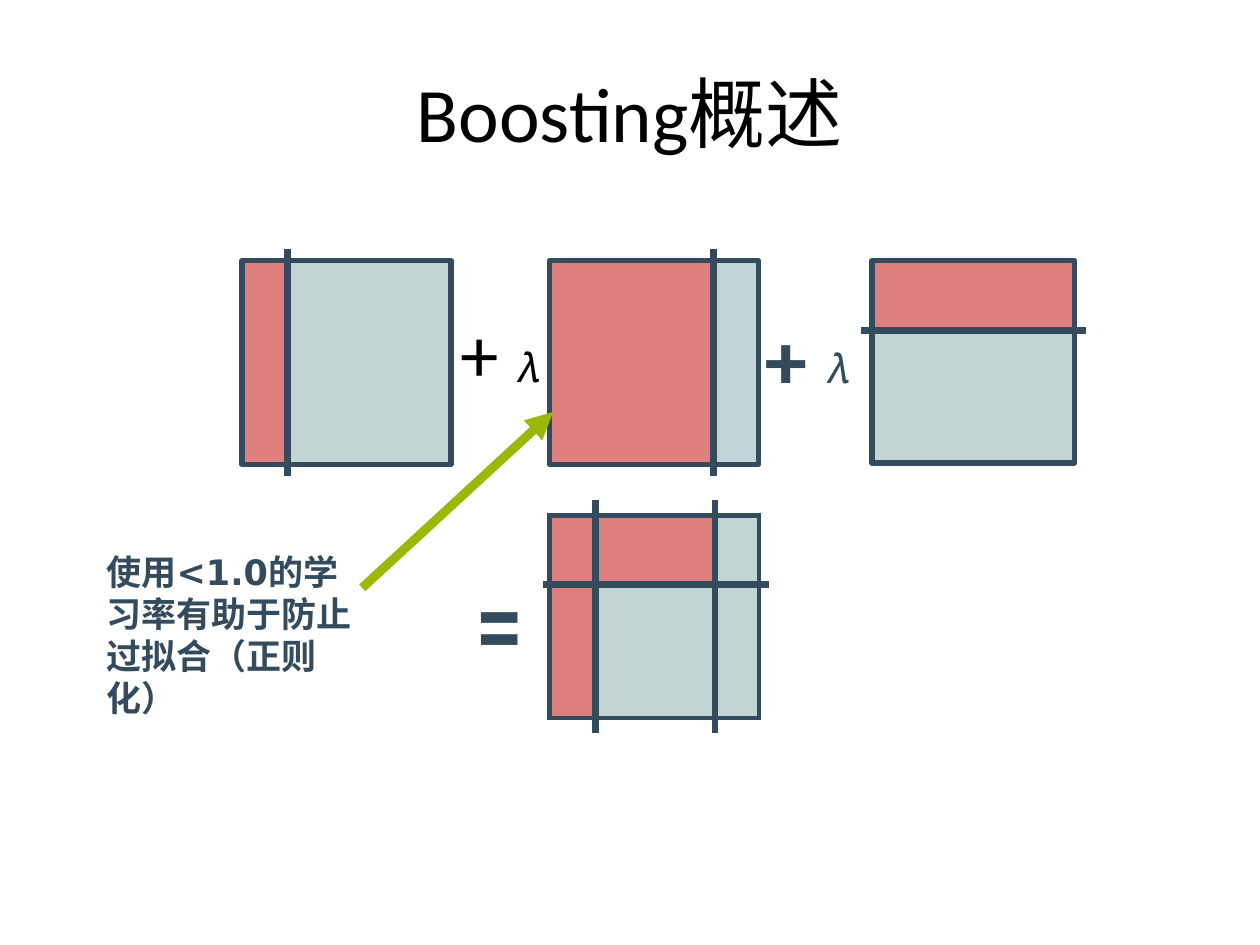
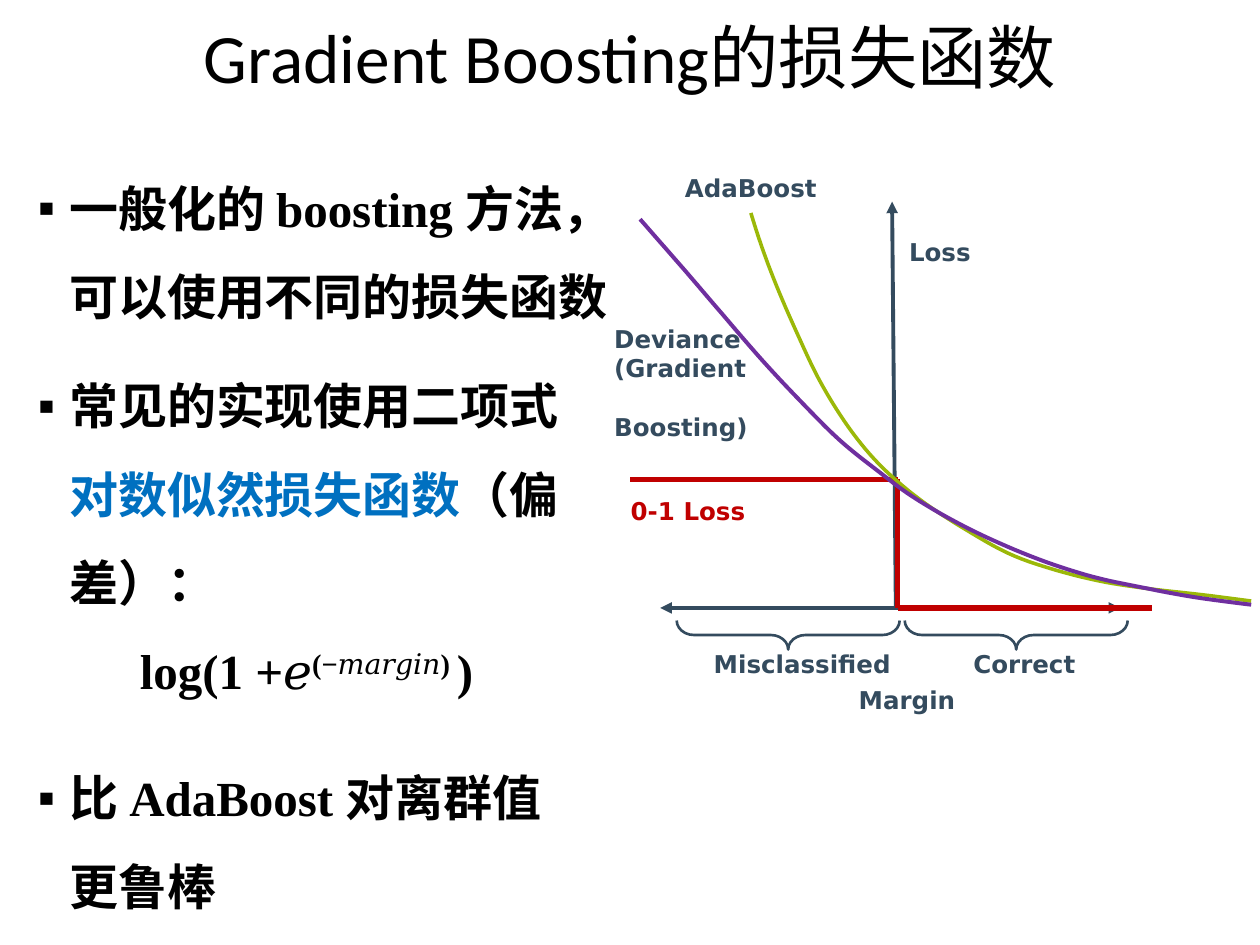
from lxml.etree import SubElement
from pptx import Presentation
from pptx.dml.color import RGBColor
from pptx.enum.shapes import MSO_CONNECTOR as Connector, MSO_SHAPE as Shape
from pptx.enum.text import MSO_ANCHOR as Anchor, PP_ALIGN as Align
from pptx.oxml.ns import qn
from pptx.util import Emu, Inches, Pt

COLOURS = {
    "ink": "000000", "slate": "344B5E", "red": "C00000", "sage": "84ADAC",
    "mist": "84ADAF", "lime": "9BB808", "purple": "6F2F9F", "blue": "0070C0",
}
COLUMNS, ROWS = 100, 75
WIDTH, HEIGHT = Inches(10), Inches(7.5)
BODY, LABEL, HEADING = "Times New Roman", "DejaVu Sans", "Calibri"


def rgb(name):
    return RGBColor.from_string(COLOURS[name])


def col(n):
    return Emu(round(WIDTH * n / COLUMNS))


def row(n):
    return Emu(round(HEIGHT * n / ROWS))


def tint(fill, owner, colour, opacity=100):
    """Solid fill; owner is the XML element that holds it."""
    fill.solid()
    fill.fore_color.rgb = rgb(colour)
    if opacity < 100:
        srgb = owner.find(qn("a:solidFill"))[0]
        SubElement(srgb, qn("a:alpha"), val=str(opacity * 1000))


def write(paragraph, text, size=14, font=LABEL, colour="slate", bold=True,
          align=Align.LEFT, indent=0.15, hang=0, right=0, leading=None, before=0,
          bullet=None):
    """Fill a paragraph with text: a string, or (string, changes) pairs."""
    props = paragraph._p.get_or_add_pPr()
    props.set("marL", str(col(indent)))
    props.set("marR", str(col(right)))
    props.set("indent", str(-col(hang)))
    if bullet:
        SubElement(props, qn("a:buFont"), typeface="Arial")
        SubElement(props, qn("a:buChar"), char=bullet)
    paragraph.alignment = align
    paragraph.space_before = Pt(before)
    if leading:
        paragraph.line_spacing = leading
    for part, changes in [(text, {})] if isinstance(text, str) else text:
        look = dict(size=size, font=font, colour=colour, bold=bold, raised=0) | changes
        run = paragraph.add_run()
        run.text = part
        run.font.size, run.font.name = Pt(look["size"]), look["font"]
        run.font.bold = look["bold"]
        run.font.color.rgb = rgb(look["colour"])
        if look["raised"]:
            run._r.get_or_add_rPr().set("baseline", str(look["raised"] * 1000))


def smooth(knots, steps=6):
    """Catmull-Rom curve through the knots."""
    padded = [knots[0], *knots, knots[-1]]
    curve = [knots[0]]
    for a, b, c, d in zip(padded, padded[1:], padded[2:], padded[3:]):
        for step in range(1, steps + 1):
            t = step / steps
            curve.append(tuple(
                (2 * q + (r - p) * t + (2 * p - 5 * q + 4 * r - s) * t ** 2
                 + (3 * q - p - 3 * r + s) * t ** 3) / 2
                for p, q, r, s in zip(a, b, c, d)))
    return curve


class Deck:
    def __init__(self):
        self.show = Presentation()
        self.show.slide_width, self.show.slide_height = WIDTH, HEIGHT
        self.shapes = None

    def new_slide(self, title, top, height, size):
        self.shapes = self.show.slides.add_slide(self.show.slide_layouts[6]).shapes
        self.text(5, top, 90, height, title, size=size, font=HEADING, colour="ink",
                  bold=False, align=Align.CENTER, indent=0, anchor=Anchor.MIDDLE)

    def text(self, left, top, width, height, *paragraphs, anchor=Anchor.TOP, **style):
        """Each paragraph is its text, or a dict of its text and format."""
        frame = self.shapes.add_textbox(col(left), row(top), col(width), row(height)).text_frame
        frame.word_wrap, frame.vertical_anchor = True, anchor
        frame.margin_left = frame.margin_right = frame.margin_bottom = 0
        frame.margin_top = row(0.1)
        for i, entry in enumerate(paragraphs):
            entry = entry if isinstance(entry, dict) else {"text": entry}
            paragraph = frame.add_paragraph() if i else frame.paragraphs[0]
            write(paragraph, **(style | entry))

    def outline(self, shape, colour, weight):
        shape.shadow.inherit = False
        shape.fill.background()
        shape.line.color.rgb = rgb(colour)
        shape.line.width = Pt(weight)

    def block(self, left, top, width, height, colour):
        shape = self.shapes.add_shape(Shape.RECTANGLE, col(left), row(top), col(width), row(height))
        shape.shadow.inherit = False
        shape.line.fill.background()
        tint(shape.fill, shape._element.spPr, colour, 50)

    def frame(self, left, top, width, height):
        self.outline(self.shapes.add_shape(
            Shape.RECTANGLE, col(left), row(top), col(width), row(height)), "slate", 3)

    def line(self, start, end, colour, weight, arrows=()):
        link = self.shapes.add_connector(
            Connector.STRAIGHT, col(start[0]), row(start[1]), col(end[0]), row(end[1]))
        link.line.color.rgb = rgb(colour)
        link.line.width = Pt(weight)
        for end_tag in arrows:
            SubElement(link.line._get_or_add_ln(), qn(f"a:{end_tag}"), type="triangle")
        SubElement(link._element.spPr, qn("a:effectLst"))

    def curve(self, knots, colour, weight):
        (x, y), *rest = [(col(x), row(y)) for x, y in smooth(knots)]
        builder = self.shapes.build_freeform(x, y)
        builder.add_line_segments(rest, close=False)
        self.outline(builder.convert_to_shape(), colour, weight)

    def brace(self, left, top, width, depth):
        """Brace opening upwards: a right brace turned a quarter."""
        shape = self.shapes.add_shape(
            Shape.RIGHT_BRACE, col(left + (width - depth) / 2),
            row(top + (depth - width) / 2), col(depth), row(width))
        shape.rotation = 90
        shape.adjustments[0] = 0.6
        self.outline(shape, "slate", 1.5)

    def stump(self, left, top, width, height, split, across, first, second):
        """Square cut in two by a line that sticks out at both ends."""
        if across:
            self.block(left, top, width, split, first)
            self.block(left, top + split, width, height - split, second)
            cut = (left - 0.9, top + split), (left + width + 0.9, top + split)
        else:
            self.block(left, top, split, height, first)
            self.block(left + split, top, width - split, height, second)
            cut = (left + split, top + height + 0.9), (left + split, top - 0.9)
        self.frame(left, top, width, height)
        self.line(*cut, "slate", 3.96)

    def grid(self, left, top, widths, heights, fills, upright, level):
        """Table; upright and level give the weight of each grid line."""
        table = self.shapes.add_table(
            len(heights), len(widths), col(left), row(top),
            col(sum(widths)), row(sum(heights))).table
        table.first_row = table.horz_banding = False
        for column, width in zip(table.columns, widths):
            column.width = col(width)
        for r, height in enumerate(heights):
            table.rows[r].height = row(height)
            for c in range(len(widths)):
                cell = table.cell(r, c)
                cell.margin_left = cell.margin_right = cell.margin_top = cell.margin_bottom = 0
                cell.text_frame.paragraphs[0].font.size = Pt(1)
                colour = fills[r][c]
                weights = {"lnL": upright[c], "lnR": upright[c + 1],
                           "lnT": level[r], "lnB": level[r + 1]}
                if not colour:
                    weights["lnL"] *= c > 0
                    weights["lnR"] *= c < len(widths) - 1
                props = cell._tc.get_or_add_tcPr()
                for side, weight in weights.items():
                    edge = SubElement(props, qn(f"a:{side}"), w=str(Pt(weight)))
                    if weight:
                        solid = SubElement(edge, qn("a:solidFill"))
                        SubElement(solid, qn("a:srgbClr"), val=COLOURS["slate"])
                    else:
                        SubElement(edge, qn("a:noFill"))
                if colour:
                    tint(cell.fill, props, colour, 50)
                else:
                    cell.fill.background()


def boosting_overview(deck):
    deck.new_slide("Boosting概述", 2.65, 12.4, 44)

    # Weak learners
    deck.stump(19.2, 20.7, 16.6, 16.15, 3.65, False, "red", "sage")
    deck.stump(43.6, 20.7, 16.6, 16.15, 13, False, "red", "mist")
    deck.stump(69.2, 20.7, 16.1, 16.05, 5.5, True, "red", "sage")

    # Operators between them
    rate = ("𝜆", {"size": 24, "font": "Arial", "bold": False})
    deck.text(36.3, 24.1, 6.6, 7.6, [("+ ", {}), rate], size=44, font=HEADING,
              colour="ink", bold=False, align=Align.CENTER, anchor=Anchor.MIDDLE)
    deck.text(60.6, 24.2, 7.7, 7.6, [("+ ", {}), rate], size=44, font="Karla")
    deck.text(37.3, 43.6, 3, 10.3, "=", size=60, font="Karla")

    # Combined model
    deck.line((43.1, 46.4), (61, 46.4), "slate", 3.96)
    blank = (None, None, None)
    deck.grid(43.6, 39.7, (3.65, 9.5, 3.5), (1.2, 5.5, 10.6, 1.2),
              (blank, ("red", "red", "sage"), ("red", "sage", "sage"), blank),
              upright=(3, 4.25, 4.25, 3), level=(0, 3, 4.25, 3, 0))

    # Learning-rate remark
    deck.text(8.3, 43.6, 20.1, 10.2, "使用<1.0的学习率有助于防止过拟合（正则化）", size=20)
    deck.line((28.75, 46.65), (43.9, 32.7), "lime", 5.2, ["tailEnd"])


def loss_functions(deck):
    deck.new_slide("Gradient Boosting的损失函数", 0.5, 7.8, 39.6)

    # Key points
    point = dict(indent=2.6, hang=2.5, bullet="▪")
    deck.text(
        2.9, 11.7, 46.2, 60.5,
        dict(text="一般化的 boosting 方法，可以使用不同的损失函数", **point),
        dict(text=[("常见的实现使用二项式", {}), ("对数似然损失函数", {"colour": "blue"}),
                   ("（偏差）：", {})], before=12.1, right=3.5, **point),
        dict(text=[("log(1 +𝑒", {}), ("(−𝑚𝑎𝑟𝑔𝑖𝑛) ", {"raised": 30}), (")", {})],
             align=Align.CENTER, right=3.5),
        dict(text="比 AdaBoost 对离群值更鲁棒", before=22.4, right=3.5, **point),
        size=28, font=BODY, colour="ink", leading=1.5)

    # Axes
    deck.line((71.1, 48.3), (70.8, 16), "slate", 2.2, ["tailEnd"])
    deck.line((52.4, 48.25), (88.9, 48.25), "slate", 2.2, ["headEnd", "tailEnd"])

    # 0-1 loss step
    step = [(50, 38.05), (71.25, 38.05), (71.25, 48.25), (91.4, 48.25)]
    for start, end in zip(step, step[1:]):
        deck.line(start, end, "red", 3)

    # Loss curves
    deck.curve([(99.3, 47.7), (95.4, 47.2), (91, 46.7), (87.2, 46.1), (83.3, 45.1),
                (80, 43.9), (76.6, 42), (73.5, 40), (71, 38), (69, 36), (67, 33.4),
                (65, 30.1), (63.2, 26.3), (61.6, 22.6), (60.4, 19.4), (59.6, 16.9)],
               "lime", 2.04)
    deck.curve([(99.3, 48), (94.8, 47.4), (90.5, 46.6), (86.8, 45.8), (83, 44.6),
                (79.3, 43.1), (75.8, 41.4), (72.4, 39.4), (69.7, 37.4), (66.6, 34.9),
                (63.4, 31.7), (60.5, 28.6), (57.3, 24.9), (54.3, 21.4), (50.8, 17.4)],
               "purple", 2.28)

    # Braces under the margin axis
    for left in (53.7, 71.8):
        deck.brace(left, 49.25, 17.7, 2.3)

    # Labels
    for label, left, top, width, colour in (
            ("AdaBoost", 54.2, 13.6, 11.1, "slate"),
            ("Loss", 72, 18.7, 5.4, "slate"),
            ("0-1 Loss", 49.9, 39.3, 9.8, "red"),
            ("Misclassified", 56.5, 51.4, 15, "slate"),
            ("Correct", 77.1, 51.4, 8.5, "slate"),
            ("Margin", 68, 54.3, 8.5, "slate")):
        deck.text(left, top, width, 2.5, label, colour=colour)
    deck.text(48.6, 25.6, 11, 9.5, "Deviance", "(Gradient",
              dict(text="Boosting)", before=16.8))


def main():
    deck = Deck()
    boosting_overview(deck)
    loss_functions(deck)
    deck.show.save("out.pptx")


if __name__ == "__main__":
    main()
